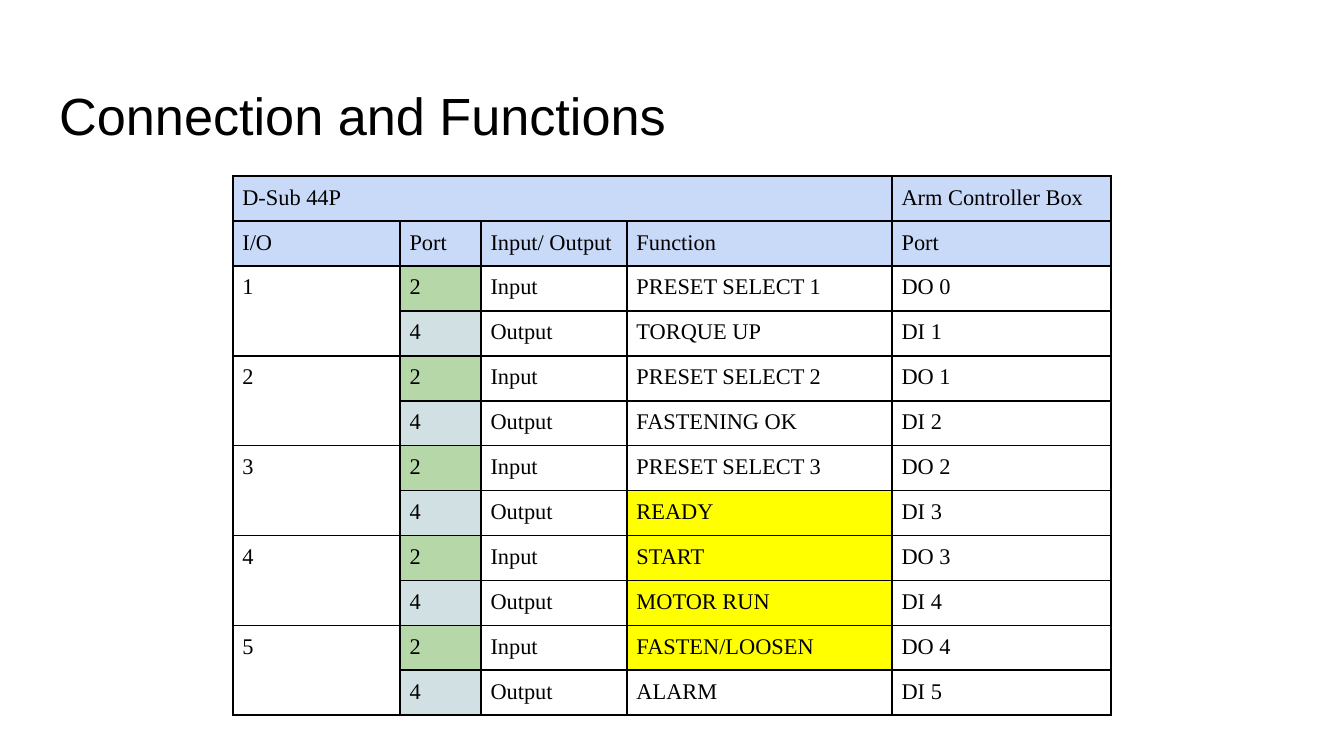
"""Build the slide that lists the connector ports and their functions."""
import dataclasses
import typing

import lxml.etree
import pptx
import pptx.dml.color
import pptx.enum.text
import pptx.oxml.ns
import pptx.table
import pptx.text.text
import pptx.util

Cm = pptx.util.Cm
Pt = pptx.util.Pt


@dataclasses.dataclass(frozen=True)
class Theme:
    ink: str = "000000"
    head: str = "C9DAF8"
    input: str = "B6D7A8"
    output: str = "D0E0E3"
    mark: str = "FFFF00"
    title_font: str = "Arial"
    table_font: str = "Times New Roman"
    title_size: float = 28
    table_size: float = 12
    thin: float = 1
    thick: float = 1.5


@dataclasses.dataclass(frozen=True)
class Signal:
    name: str
    marked: bool = False


@dataclasses.dataclass(frozen=True)
class Pair:
    input: Signal
    output: Signal


THEME = Theme()
WIDTHS = (3.16, 1.53, 2.76, 5.01, 4.14)
ROW_HEIGHT = 0.82
HEAD_ROWS = 2
BOX_COL = 4
HEADS = ("I/O", "Port", "Input/ Output", "Function", "Port")
PAIRS = (
    Pair(Signal("PRESET SELECT 1"), Signal("TORQUE UP")),
    Pair(Signal("PRESET SELECT 2"), Signal("FASTENING OK")),
    Pair(Signal("PRESET SELECT 3"), Signal("READY", True)),
    Pair(Signal("START", True), Signal("MOTOR RUN", True)),
    Pair(Signal("FASTEN/LOOSEN", True), Signal("ALARM")),
)


def style_text(frame: pptx.text.text.TextFrame, font: str, size: float) -> None:
    for run in frame.paragraphs[0].runs:
        run.font.name = font
        run.font.size = Pt(size)
        run.font.color.rgb = pptx.dml.color.RGBColor.from_string(THEME.ink)


def draw_edges(cell: pptx.table._Cell, row: int, col: int) -> None:
    right = col + (cell.span_width if cell.is_merge_origin else 1)
    bottom = row + (cell.span_height if cell.is_merge_origin else 1)
    heavy = {"L": col == BOX_COL, "R": right == BOX_COL,
             "T": row == HEAD_ROWS, "B": bottom == HEAD_ROWS}
    props = cell._tc.get_or_add_tcPr()
    qn = pptx.oxml.ns.qn
    for place, (side, bold) in enumerate(heavy.items()):
        width = Pt(THEME.thick if bold else THEME.thin)
        line = lxml.etree.Element(qn(f"a:ln{side}"), w=str(width))
        fill = lxml.etree.SubElement(line, qn("a:solidFill"))
        lxml.etree.SubElement(fill, qn("a:srgbClr"), val=THEME.ink)
        props.insert(place, line)


def fill_cell(cell: pptx.table._Cell, text: str,
              color: typing.Optional[str] = None) -> None:
    cell.text_frame.text = text
    style_text(cell.text_frame, THEME.table_font, THEME.table_size)
    cell.margin_left = cell.margin_right = Cm(0.18)
    cell.margin_top = cell.margin_bottom = Cm(0.17)
    if color:
        cell.fill.solid()
        cell.fill.fore_color.rgb = pptx.dml.color.RGBColor.from_string(color)
    else:
        cell.fill.background()


def fill_signal(table: pptx.table.Table, row: int, signal: Signal,
                labels: tuple[str, str, str], color: str) -> None:
    port, kind, box_port = labels
    fill_cell(table.cell(row, 1), port, color)
    fill_cell(table.cell(row, 2), kind)
    fill_cell(table.cell(row, 3), signal.name, THEME.mark if signal.marked else None)
    fill_cell(table.cell(row, BOX_COL), box_port)


def draw_title(slide: pptx.slide.Slide, text: str) -> None:
    box = slide.shapes.add_textbox(Cm(0.87), Cm(1.24), Cm(23.67), Cm(1.6))
    frame = box.text_frame
    frame.word_wrap = True
    frame.vertical_anchor = pptx.enum.text.MSO_ANCHOR.TOP
    frame.margin_left = frame.margin_right = frame.margin_bottom = Cm(0.25)
    frame.margin_top = Cm(0.34)
    frame.text = text
    style_text(frame, THEME.title_font, THEME.title_size)


def draw_table(slide: pptx.slide.Slide) -> None:
    count = HEAD_ROWS + 2 * len(PAIRS)
    frame = slide.shapes.add_table(count, len(WIDTHS), Cm(4.4), Cm(3.33),
                                   Cm(sum(WIDTHS)), Cm(count * ROW_HEIGHT))
    table = frame.table
    table.first_row = table.horz_banding = False
    for column, width in zip(table.columns, WIDTHS):
        column.width = Cm(width)
    for line in table.rows:
        line.height = Cm(ROW_HEIGHT)

    table.cell(0, 0).merge(table.cell(0, BOX_COL - 1))
    fill_cell(table.cell(0, 0), "D-Sub 44P", THEME.head)
    fill_cell(table.cell(0, BOX_COL), "Arm Controller Box", THEME.head)
    for col, head in enumerate(HEADS):
        fill_cell(table.cell(1, col), head, THEME.head)

    for index, pair in enumerate(PAIRS):
        row = HEAD_ROWS + 2 * index
        table.cell(row, 0).merge(table.cell(row + 1, 0))
        fill_cell(table.cell(row, 0), str(index + 1))
        fill_signal(table, row, pair.input,
                    ("2", "Input", f"DO {index}"), THEME.input)
        fill_signal(table, row + 1, pair.output,
                    ("4", "Output", f"DI {index + 1}"), THEME.output)

    for row in range(count):
        for col in range(len(WIDTHS)):
            draw_edges(table.cell(row, col), row, col)


def main() -> None:
    deck = pptx.Presentation()
    deck.slide_width, deck.slide_height = Cm(25.4), Cm(14.29)
    slide = deck.slides.add_slide(deck.slide_layouts[6])
    draw_title(slide, "Connection and Functions")
    draw_table(slide)
    deck.save("out.pptx")


if __name__ == "__main__":
    main()
